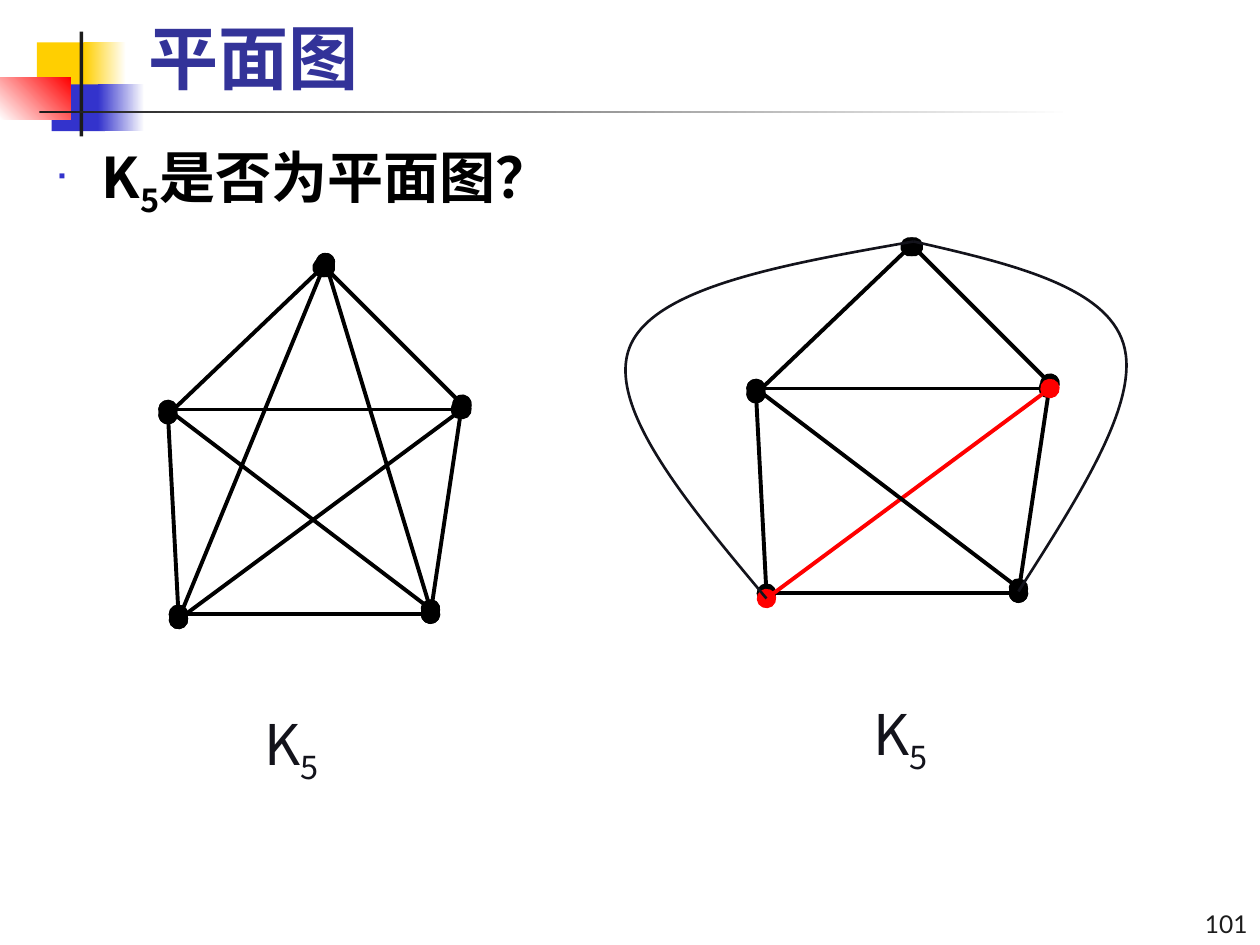
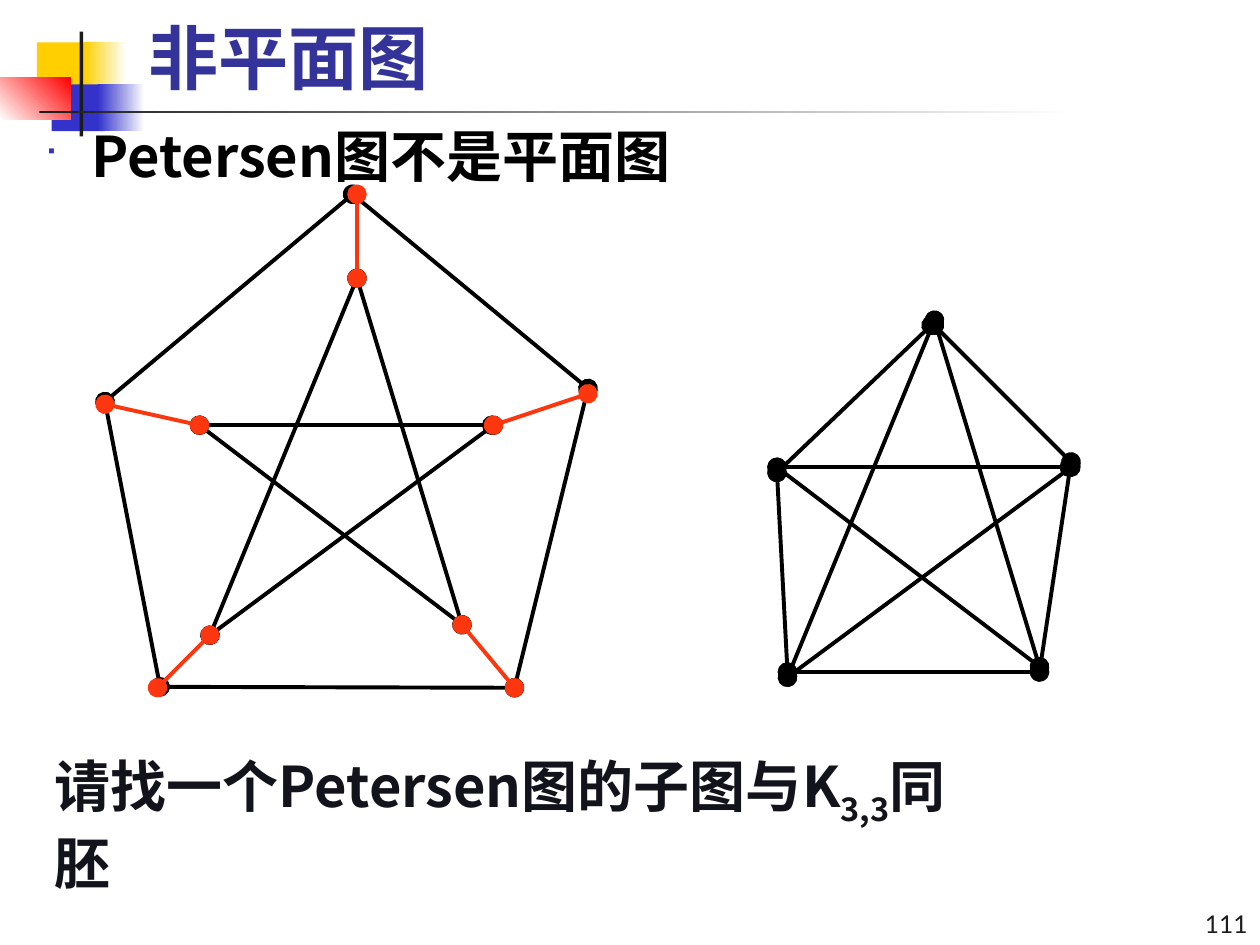
from lxml import etree
from pptx import Presentation
from pptx.dml.color import RGBColor
from pptx.enum import shapes, text
from pptx.oxml.ns import qn
from pptx.util import Pt

CJK, LATIN = "Noto Sans CJK SC", "Lato"
BLACK, INK, CHARCOAL, WHITE = "000000", "13131B", "1C1C1C", "FFFFFF"
YELLOW, BLUE, RED, ORANGE, TITLE = "FFCF01", "3333CC", "FF0000", "FC360E", "333399"
rgb = RGBColor.from_string

# Corner ornament: left, top, width, height, colours, gradient angle
ornament = [
    (21, 24.25, 31.5, 27.5, [YELLOW], 0),
    (48, 24.25, 24, 27.5, [YELLOW, WHITE], 0),
    (29.5, 48.25, 30.5, 26.75, [BLUE], 0),
    (56, 48.25, 26.5, 26.75, [BLUE, WHITE], 0),
    (0, 44.25, 40.5, 24, [WHITE, RED], 45),
    (45.5, 18, 2, 60, [CHARCOAL], 0),
    (22.5, 63.25, 590, 1.25, [CHARCOAL, WHITE], 0),
]

# K5 edges: x1, y1, x2, y2
sides = [
    (186, 153, 264, 231), (96, 237, 184, 153), (96, 237, 102, 351),
    (264, 231, 246, 351), (102, 351, 246, 351),
]
top_diagonals = [(186, 150, 246, 348), (186, 150, 102, 354)]
across = (96, 234, 263, 234)
rising = (102, 354, 264, 234)
falling = (96, 234, 246, 348)
star = top_diagonals + [across, rising, falling]

# Petersen graph: outer ring and the spokes to the inner star
ring = [
    (201.5, 111, 336, 222), (60, 229.5, 201.5, 111), (60, 229.5, 91.5, 392.5),
    (336, 222, 294, 393), (91.5, 392.5, 294, 393),
]
spokes = [
    (114, 243, 60, 231), (204, 159, 204, 111), (336, 225, 282, 243),
    (294, 393, 264, 357), (120, 363, 90, 393),
]

# Each graph: edges, horizontal shift, vertical shift, colour
planar_graphs = [
    (sides + star, 0, 0, BLACK),
    (sides + [across], 336, -12, BLACK),
    ([rising], 336, -12, RED),
    ([falling], 336, -12, BLACK),
]
nonplanar_graphs = [
    (sides + star, 348, 33, BLACK),
    (ring, 0, 0, BLACK),
    (star, 18, 9, BLACK),
    (spokes, 0, 0, ORANGE),
]

# The two top diagonals redrawn around the outside, from vertex to vertex
detours = [
    [(522, 138), (448, 151), (374, 164), (360, 198), (346, 232), (392, 287), (438, 342)],
    [(522, 138), (577, 150.5), (632, 163.5), (642, 196.5), (652, 229), (617, 283), (582, 338)],
]

# Each label: left, top, width, height, runs (every second one is subscript)
k5 = ["K", "5"]
pages = [
    ("平面图", "101", planar_graphs, detours,
     (24, 78, 672, 45, ["K", "5", "是否为平面图？"]),
     [(144, 402, 54, 46, k5, False), (492, 396, 54, 46, k5, False)]),
    ("非平面图", "111", nonplanar_graphs, [],
     (18, 66, 672, 45, ["Petersen图不是平面图"]),
     [(24, 426, 545, 45, ["请找一个Petersen图的子图与K", "3,3", "同胚"], True)]),
]


def write(left, top, width, height, pieces, size, color, bold=False, font=CJK,
          anchor=text.MSO_ANCHOR.TOP, align=text.PP_ALIGN.LEFT, bullet=False):
    frame = slide.shapes.add_textbox(Pt(left), Pt(top), Pt(width), Pt(height)).text_frame
    frame.word_wrap = True
    frame.vertical_anchor = anchor
    line = frame.paragraphs[0]
    line.alignment = align
    props = line._p.get_or_add_pPr()
    if bullet:
        props.set("marL", str(Pt(27)))
        props.set("indent", str(Pt(-27)))
        bullet_color = etree.SubElement(props, qn("a:buClr"))
        etree.SubElement(bullet_color, qn("a:srgbClr"), val=BLUE)
        etree.SubElement(props, qn("a:buSzPct"), val="60000")
        etree.SubElement(props, qn("a:buFont"), typeface="Wingdings")
        etree.SubElement(props, qn("a:buChar"), char="■")
    line.font.size = Pt(size)
    line.font.bold = bold
    line.font.color.rgb = rgb(color)
    line.font.name = font
    etree.SubElement(props.find(qn("a:defRPr")), qn("a:ea"), typeface=font)
    for i, piece in enumerate(pieces):
        run = line.add_run()
        run.text = piece
        if i % 2:
            run._r.get_or_add_rPr().set("baseline", "-25000")


deck = Presentation()
deck.slide_width, deck.slide_height = Pt(720), Pt(540)

for title, number, graphs, curves, question, labels in pages:
    slide = deck.slides.add_slide(deck.slide_layouts[6])

    # Ornament, page number and title
    for left, top, width, height, colors, angle in ornament:
        block = slide.shapes.add_shape(shapes.MSO_SHAPE.RECTANGLE,
                                       Pt(left), Pt(top), Pt(width), Pt(height))
        block.shadow.inherit = False
        block.line.fill.background()
        if len(colors) == 1:
            block.fill.solid()
            block.fill.fore_color.rgb = rgb(colors[0])
        else:
            block.fill.gradient()
            block.fill.gradient_angle = angle
            for stop, color in zip(block.fill.gradient_stops, colors):
                stop.color.rgb = rgb(color)
    write(624, 510, 96, 30, [number], 14, CHARCOAL, font=LATIN,
          anchor=text.MSO_ANCHOR.BOTTOM, align=text.PP_ALIGN.RIGHT)
    write(78, 12, 606, 48, [title], 40, TITLE, bold=True, anchor=text.MSO_ANCHOR.BOTTOM)

    # Graph edges, with a large round vertex at both ends
    for edges, dx, dy, color in graphs:
        for x1, y1, x2, y2 in edges:
            edge = slide.shapes.add_connector(shapes.MSO_CONNECTOR.STRAIGHT, Pt(x1 + dx),
                                              Pt(y1 + dy), Pt(x2 + dx), Pt(y2 + dy))
            edge.line.color.rgb = rgb(color)
            edge.line.width = Pt(2.25)
            outline = edge.line._get_or_add_ln()
            for end in ("a:headEnd", "a:tailEnd"):
                etree.SubElement(outline, qn(end), type="oval", w="lg", len="lg")
            etree.SubElement(edge._element.spPr, qn("a:effectLst"))

    # Curved edges: every three straight segments become one cubic segment
    for points in curves:
        start, *controls = [(Pt(x), Pt(y)) for x, y in points]
        builder = slide.shapes.build_freeform(*start, scale=1.0)
        builder.add_line_segments(controls, close=False)
        curve = builder.convert_to_shape()
        curve.shadow.inherit = False
        curve.fill.background()
        curve.line.color.rgb = rgb(INK)
        curve.line.width = Pt(1.5)
        outline = next(curve._element.iter(qn("a:path")))
        segments = outline.findall(qn("a:lnTo"))
        for i in range(0, len(segments), 3):
            cubic = etree.SubElement(outline, qn("a:cubicBezTo"))
            for segment in segments[i:i + 3]:
                cubic.append(segment[0])
                outline.remove(segment)

    # Labels and the bulleted statement
    for left, top, width, height, pieces, bold in labels:
        write(left, top, width, height, pieces, 32, INK, bold)
    write(*question, 32, BLACK, bold=True, align=text.PP_ALIGN.JUSTIFY, bullet=True)

deck.save("out.pptx")
